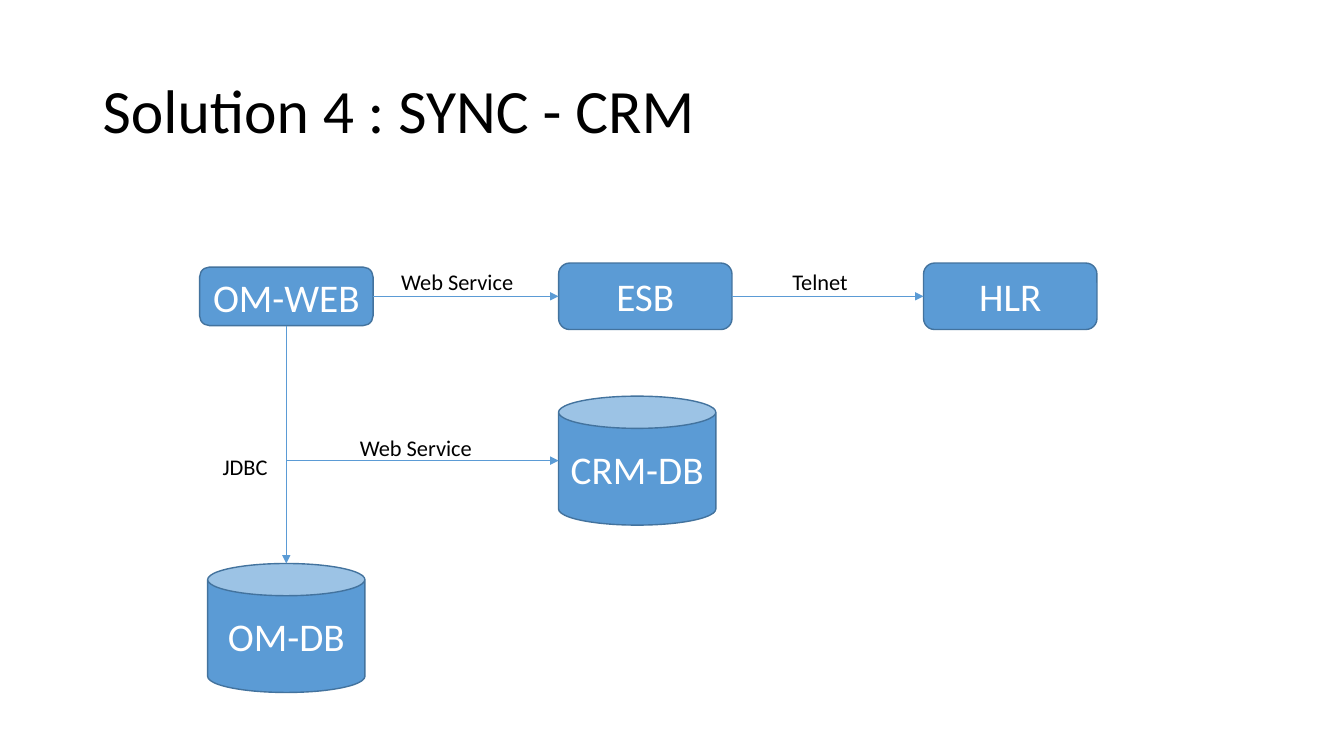
from collections import namedtuple

from lxml import etree
from pptx import Presentation
from pptx import util as u
from pptx.dml.color import RGBColor
from pptx.enum import shapes, text
from pptx.oxml.ns import qn

PX = 9144  # EMU per px, 100 px to the inch
FONT = "Calibri"
BLUE, EDGE, WHITE, BLACK = "5B9BD5", "43739E", "FFFFFF", "000000"
ROUNDED = shapes.MSO_SHAPE.ROUNDED_RECTANGLE
CAN = shapes.MSO_SHAPE.CAN

Box = namedtuple("Box", "left top width height")


def color(value):
    return RGBColor.from_string(value)


def emu(*lengths):
    return [u.Emu(round(length * PX)) for length in lengths]


def write(shape, words, size, ink, align, anchor, wrap):
    frame = shape.text_frame
    frame.text = words
    frame.word_wrap = wrap
    frame.vertical_anchor = anchor
    para = frame.paragraphs[0]
    para.alignment = align
    font = para.runs[0].font
    font.name, font.size = FONT, u.Pt(size)
    font.color.rgb = color(ink)
    return para


def add_title(page, box, words):
    shape = page.shapes.add_textbox(*emu(*box))
    para = write(shape, words, 44, BLACK, text.PP_ALIGN.LEFT,
                 text.MSO_ANCHOR.MIDDLE, True)
    para.line_spacing = 0.9


def add_label(page, box, words):
    shape = page.shapes.add_textbox(*emu(*box))
    write(shape, words, 16, BLACK, text.PP_ALIGN.LEFT,
          text.MSO_ANCHOR.TOP, False)


def add_node(page, box, kind, words):
    shape = page.shapes.add_shape(kind, *emu(*box))
    shape.shadow.inherit = False
    shape.fill.solid()
    shape.fill.fore_color.rgb = color(BLUE)
    shape.line.color.rgb = color(EDGE)
    shape.line.width = u.Pt(1)
    write(shape, words, 28, WHITE, text.PP_ALIGN.CENTER,
          text.MSO_ANCHOR.MIDDLE, False)


def add_arrow(page, start, end, kind=shapes.MSO_CONNECTOR.STRAIGHT):
    arrow = page.shapes.add_connector(kind, *emu(*start, *end))
    arrow.line.color.rgb = color(BLUE)
    arrow.line.width = u.Pt(0.5)
    line = arrow.line._get_or_add_ln()
    etree.SubElement(line, qn("a:tailEnd"), type="triangle")
    etree.SubElement(arrow._element.spPr, qn("a:effectLst"))
    return arrow


def add_down_right_arrow(page, start, end):
    # One-bend connector, turned a quarter so that it leaves downwards
    across, down = end[0] - start[0], end[1] - start[1]
    left = (start[0] + end[0] - down) / 2
    top = (start[1] + end[1] - across) / 2
    arrow = add_arrow(page, (left, top), (left + down, top + across),
                      shapes.MSO_CONNECTOR.ELBOW)
    props = arrow._element.spPr
    props.find(qn("a:prstGeom")).set("prst", "bentConnector2")
    frame = props.find(qn("a:xfrm"))
    frame.set("rot", str(270 * 60000))
    frame.set("flipH", "1")


def left_of(box):
    return box.left, box.top + box.height // 2


def right_of(box):
    return box.left + box.width, box.top + box.height // 2


def top_of(box):
    return box.left + box.width // 2, box.top


def bottom_of(box):
    return box.left + box.width // 2, box.top + box.height


def add_diagram(page, box):
    def place(left, top, width, height):
        return Box(box.left + left, box.top + top, width, height)

    # Systems and databases
    om_web = place(0, 4, 172, 58)
    esb = place(356, 0, 172, 66)
    hlr = place(718, 0, 172, 66)
    om_db = place(8, 298, 156, 128)
    crm_db = place(356, 132, 156, 128)
    nodes = [
        (om_web, ROUNDED, "OM-WEB"),
        (esb, ROUNDED, "ESB"),
        (hlr, ROUNDED, "HLR"),
        (om_db, CAN, "OM-DB"),
        (crm_db, CAN, "CRM-DB"),
    ]
    for node in nodes:
        add_node(page, *node)

    # Calls between them
    add_arrow(page, right_of(om_web), left_of(esb))
    add_arrow(page, right_of(esb), left_of(hlr))
    add_arrow(page, bottom_of(om_web), top_of(om_db))
    add_down_right_arrow(page, bottom_of(om_web), left_of(crm_db))

    # Protocols
    labels = [
        (190, 0, 135, "Web Service"),
        (578, 0, 89, "Telnet"),
        (149, 165, 139, "Web Service"),
        (13, 184, 73, "JDBC"),
    ]
    for left, top, width, words in labels:
        add_label(page, place(left, top, width, 37), words)


def main():
    deck = Presentation()
    deck.slide_width, deck.slide_height = emu(1333, 750)
    page = deck.slides.add_slide(deck.slide_layouts[6])
    add_title(page, Box(92, 40, 1150, 145), "Solution 4 : SYNC - CRM")
    add_diagram(page, Box(198, 261, 890, 426))
    deck.save("out.pptx")


if __name__ == "__main__":
    main()
